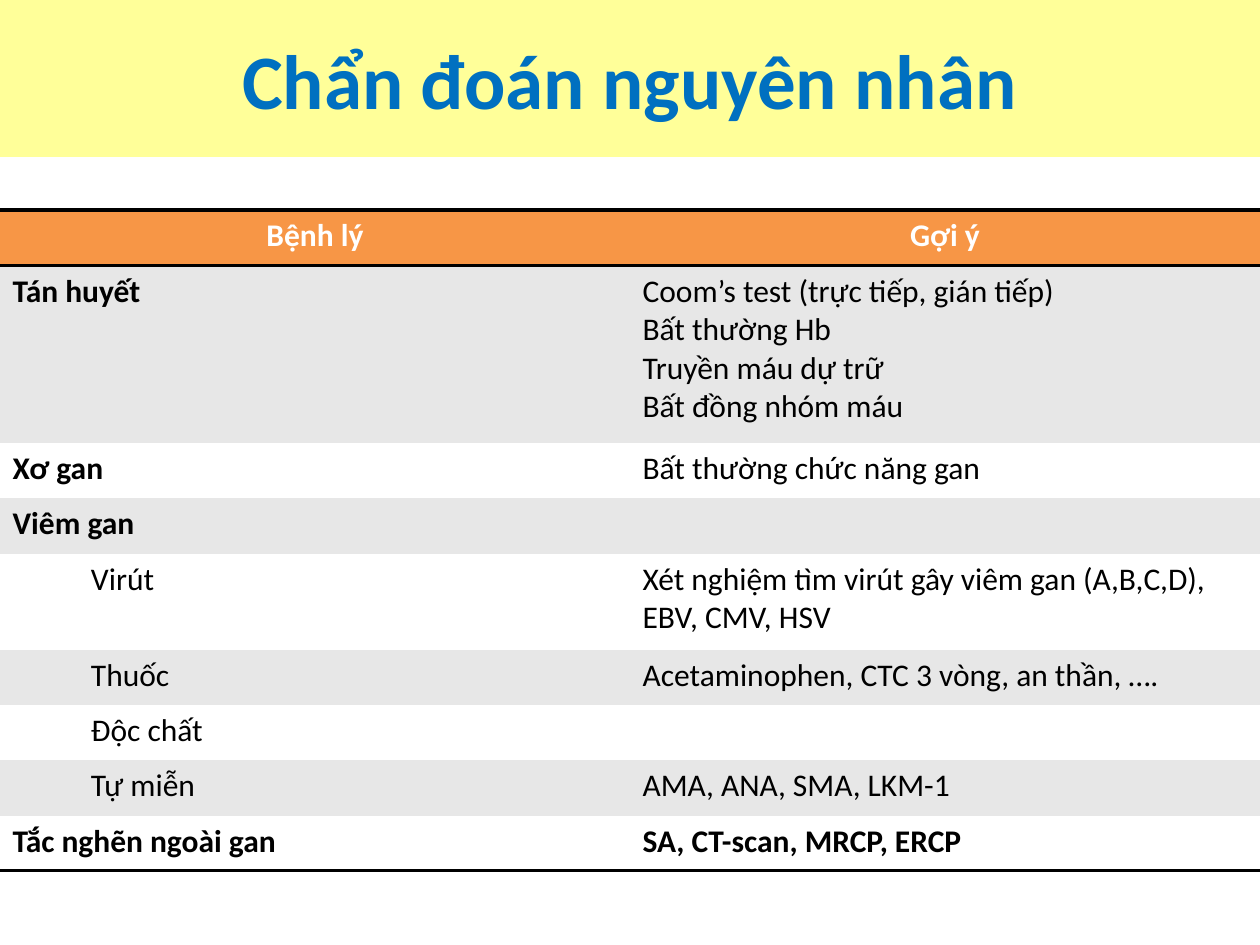
from lxml.etree import SubElement
from pptx import Presentation
from pptx.dml.color import RGBColor
from pptx.enum.shapes import MSO_SHAPE as SHAPE
from pptx.enum.text import MSO_ANCHOR as ANCHOR, PP_ALIGN as ALIGN
from pptx.oxml.ns import qn
from pptx.util import Emu, Pt

EMU_PER_PX = 914400 / 126
WIDTH, HEIGHT = 1260, 945
FONT = "Calibri"
NO_STYLE = "{2D5ABB26-0587-4C30-8999-92F81FD0307C}"
COLORS = {
    "banner": "FFFF99",
    "title": "0070C0",
    "header": "F79646",
    "band": "E7E7E7",
    "white": "FFFFFF",
    "black": "000000",
}
INDENT = 91
HEADER = ("Bệnh lý", "Gợi ý")
# height, cause, cause is a subtype, hints, hints are bold
ROWS = [
    (177, "Tán huyết", False,
     ["Coom’s test (trực tiếp, gián tiếp)", "Bất thường Hb",
      "Truyền máu dự trữ", "Bất đồng nhóm máu"], False),
    (55, "Xơ gan", False, ["Bất thường chức năng gan"], False),
    (56, "Viêm gan", False, [], False),
    (96, "Virút", True,
     ["Xét nghiệm tìm virút gây viêm gan (A,B,C,D), EBV, CMV, HSV"], False),
    (55, "Thuốc", True, ["Acetaminophen, CTC 3 vòng, an thần, …."], False),
    (55, "Độc chất", True, [], False),
    (56, "Tự miễn", True, ["AMA, ANA, SMA, LKM-1"], False),
    (55, "Tắc nghẽn ngoài gan", False, ["SA, CT-scan, MRCP, ERCP"], True),
]


def px(n):
    """Turn pixels into EMU."""
    return Emu(round(n * EMU_PER_PX))


def rgb(name):
    """Look up a named colour."""
    return RGBColor.from_string(COLORS[name])


def write(tf, lines, size, color, bold=False, align=ALIGN.LEFT):
    """Write one paragraph for each line."""
    for i, line in enumerate(lines):
        p = tf.add_paragraph() if i else tf.paragraphs[0]
        p.alignment = align
        r = p.add_run()
        r.text = line
        r.font.name, r.font.size, r.font.bold = FONT, Pt(size), bold
        r.font.color.rgb = rgb(color)


def add_banner(slide, text):
    """Add the title on its full-width band."""
    sp = slide.shapes.add_shape(SHAPE.RECTANGLE, 0, 0, px(WIDTH), px(157))
    sp.shadow.inherit = False
    sp.fill.solid()
    sp.fill.fore_color.rgb = rgb("banner")
    sp.line.fill.background()
    tf = sp.text_frame
    tf.word_wrap = True
    tf.vertical_anchor = ANCHOR.MIDDLE
    write(tf, [text], 44, "title", True, ALIGN.CENTER)


def add_border(cell, side):
    """Draw a black rule on one side of a cell."""
    tc_pr = cell._tc.get_or_add_tcPr()
    ln = SubElement(tc_pr, qn(f"a:ln{side}"), w=str(Pt(2)))
    fill = SubElement(ln, qn("a:solidFill"))
    SubElement(fill, qn("a:srgbClr"), val=COLORS["black"])


def style_cell(cell, fill, borders=""):
    """Set the rules and then the fill of a cell."""
    for side in borders:
        add_border(cell, side)
    cell.fill.solid()
    cell.fill.fore_color.rgb = rgb(fill)


def add_cause_table(slide):
    """Add the table of causes and diagnostic hints."""
    heights = [56] + [row[0] for row in ROWS]
    table = slide.shapes.add_table(
        len(heights), 2, 0, px(210), px(WIDTH), px(sum(heights))).table
    table._tbl.tblPr.find(qn("a:tableStyleId")).text = NO_STYLE
    table.horz_banding = False
    for row, height in zip(table.rows, heights):
        row.height = px(height)
    for cell, text in zip(table.rows[0].cells, HEADER):
        style_cell(cell, "header", "TB")
        write(cell.text_frame, [text], 18, "white", True, ALIGN.CENTER)
    for i, (_, cause, subtype, hints, strong) in enumerate(ROWS):
        left, right = table.rows[i + 1].cells
        for cell in (left, right):
            style_cell(cell, "white" if i % 2 else "band",
                       "B" if i == len(ROWS) - 1 else "")
        if subtype:
            left.margin_left = px(INDENT)
        write(left.text_frame, [cause], 18, "black", not subtype)
        write(right.text_frame, hints, 18, "black", strong)


def main():
    """Build and save the slide."""
    prs = Presentation()
    prs.slide_width, prs.slide_height = px(WIDTH), px(HEIGHT)
    slide = prs.slides.add_slide(prs.slide_layouts[6])
    add_banner(slide, "Chẩn đoán nguyên nhân")
    add_cause_table(slide)
    prs.save("out.pptx")


if __name__ == "__main__":
    main()
